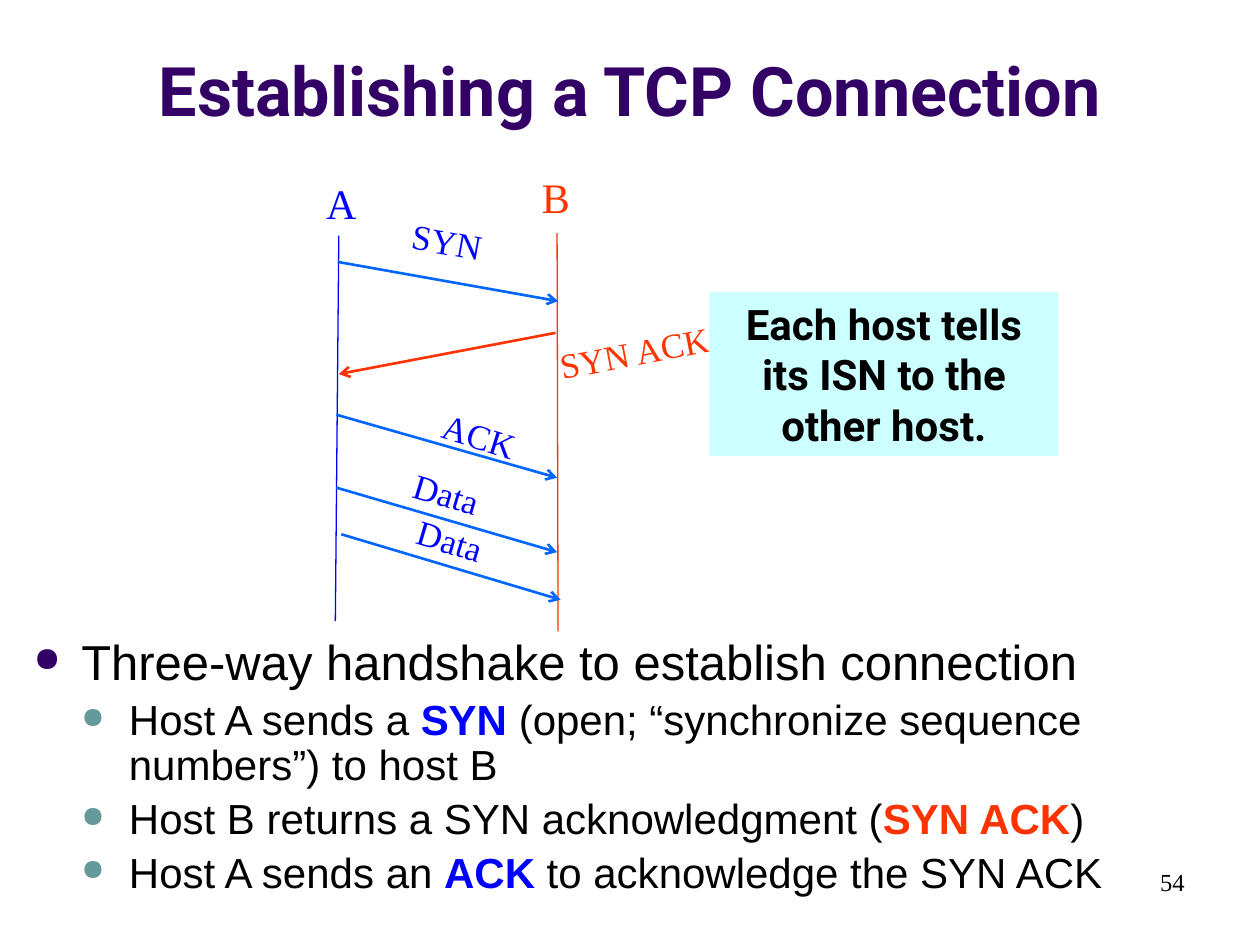
from dataclasses import dataclass

from lxml import etree
from pptx import Presentation
from pptx.dml.color import RGBColor
from pptx.enum.shapes import MSO_CONNECTOR, MSO_SHAPE
from pptx.enum.text import MSO_ANCHOR, PP_ALIGN
from pptx.oxml.ns import qn
from pptx.slide import Slide
from pptx.util import Cm, Pt

STRAIGHT = MSO_CONNECTOR.STRAIGHT
RECTANGLE = MSO_SHAPE.RECTANGLE
TOP, MIDDLE, BOTTOM = MSO_ANCHOR.TOP, MSO_ANCHOR.MIDDLE, MSO_ANCHOR.BOTTOM
LEFT, CENTER, RIGHT = PP_ALIGN.LEFT, PP_ALIGN.CENTER, PP_ALIGN.RIGHT


def color(value):
    return RGBColor.from_string(value)


@dataclass
class HandshakeSlide:
    slide: Slide
    heading_font: str = "Roboto"
    body_font: str = "Arial"
    label_font: str = "Times New Roman"
    heading: str = "330066"
    ink: str = "000000"
    host_a: str = "0000FF"
    host_b: str = "FF3300"
    message: str = "0066FF"
    sub_bullet: str = "669999"
    note_fill: str = "CCFFFF"

    def style(self, paragraph, name, size, hue, bold=False):
        font = paragraph.font
        font.name, font.size, font.bold = name, Pt(size), bold
        font.color.rgb = color(hue)

    def text(self, words, box, name, size, hue, bold=False,
             align=CENTER, anchor=MIDDLE, wrap=False, angle=0):
        holder = self.slide.shapes.add_textbox(*map(Cm, box))
        holder.rotation = angle
        frame = holder.text_frame
        frame.word_wrap, frame.vertical_anchor = wrap, anchor
        paragraph = frame.paragraphs[0]
        paragraph.text, paragraph.alignment = words, align
        self.style(paragraph, name, size, hue, bold)

    def label(self, words, box, hue, size=20, angle=0):
        self.text(words, box, self.label_font, size, hue, angle=angle)

    def line(self, ends, hue, width=0.75, arrow=False):
        connector = self.slide.shapes.add_connector(STRAIGHT, *map(Cm, ends))
        connector.line.color.rgb = color(hue)
        connector.line.width = Pt(width)
        if arrow:
            etree.SubElement(connector.line._get_or_add_ln(), qn("a:tailEnd"), type="arrow")
        etree.SubElement(connector._element.spPr, qn("a:effectLst"))

    def note(self, words, box):
        panel = self.slide.shapes.add_shape(RECTANGLE, *map(Cm, box))
        panel.shadow.inherit = False
        panel.fill.solid()
        panel.fill.fore_color.rgb = color(self.note_fill)
        panel.line.fill.background()
        frame = panel.text_frame
        frame.word_wrap, frame.vertical_anchor = True, TOP
        paragraph = frame.paragraphs[0]
        paragraph.text, paragraph.alignment = words, CENTER
        self.style(paragraph, self.heading_font, 24, self.ink, True)

    def bullet(self, paragraph, hue):
        properties = paragraph._p.get_or_add_pPr()
        properties.set("marL", str(Cm(0.96 * (paragraph.level + 1))))
        properties.set("indent", str(-Cm(0.96)))
        tint = etree.SubElement(properties, qn("a:buClr"))
        etree.SubElement(tint, qn("a:srgbClr"), val=hue)
        etree.SubElement(properties, qn("a:buSzPct"), val="70000")
        etree.SubElement(properties, qn("a:buChar"), char="●")

    def outline(self, points, box):
        frame = self.slide.shapes.add_textbox(*map(Cm, box)).text_frame
        frame.word_wrap = True
        for index, (level, runs) in enumerate(points):
            paragraph = frame.add_paragraph() if index else frame.paragraphs[0]
            paragraph.level, paragraph.alignment = level, LEFT
            size = 24 if level else 28
            self.bullet(paragraph, self.sub_bullet if level else self.heading)
            paragraph.line_spacing = 0.9
            paragraph.space_before = Pt(0.2 * size if index else 0)
            self.style(paragraph, self.body_font, size, self.ink)
            for words, emphasis in runs:
                run = paragraph.add_run()
                run.text = words
                if emphasis:
                    run.font.bold = True
                    run.font.color.rgb = color(emphasis)


def main():
    deck = Presentation()
    deck.slide_width, deck.slide_height = Cm(25.4), Cm(19.05)
    page = HandshakeSlide(deck.slides.add_slide(deck.slide_layouts[6]))

    page.text("Establishing a TCP Connection", (0, 0.33, 25.4, 2.41),
              page.heading_font, 39, page.heading, True, anchor=BOTTOM, wrap=True)
    page.outline([
        (0, [("Three-way handshake to establish connection", None)]),
        (1, [("Host A sends a ", None), ("SYN", page.host_a),
             (" (open; “synchronize sequence numbers”) to host B", None)]),
        (1, [("Host B returns a SYN acknowledgment (", None),
             ("SYN ACK", page.host_b), (")", None)]),
        (1, [("Host A sends an ", None), ("ACK", page.host_a),
             (" to acknowledge the SYN ACK", None)]),
    ], (0.43, 12.73, 23.7, 6.1))
    page.text("54", (18.21, 17.35, 5.92, 1.27), page.label_font, 14, page.ink,
              align=RIGHT, anchor=TOP, wrap=True)

    hosts = [
        ("A", (6.32, 3.45, 1.12, 1.27), (6.83, 4.75, 6.76, 12.52), page.host_a),
        ("B", (10.67, 3.33, 1.07, 1.27), (11.23, 4.7, 11.25, 12.73), page.host_b),
    ]
    for host, box, timeline, hue in hosts:
        page.line(timeline, hue)
        page.label(host, box, hue, 24)

    from_a, from_b = (page.message, page.host_a), (page.host_b, page.host_b)
    messages = [
        ("SYN", (6.81, 5.28, 11.25, 6.07), (8.05, 4.32, 1.93, 1.09), 10.1, from_a),
        ("SYN ACK", (11.2, 6.71, 6.83, 7.54), (10.97, 6.55, 3.63, 1.09), -10.9, from_b),
        ("ACK", (6.78, 8.36, 11.23, 9.63), (8.66, 8.23, 2.01, 1.09), 17.4, from_a),
        ("Data", (6.78, 9.83, 11.23, 11.13), (8.08, 9.4, 1.85, 1.09), 16.7, from_a),
        ("Data", (6.88, 10.77, 11.3, 12.09), (8.15, 10.34, 1.85, 1.09), 16.7, from_a),
    ]
    for segment, ends, box, angle, (arrow_hue, label_hue) in messages:
        page.line(ends, arrow_hue, 1.5, arrow=True)
        page.label(segment, box, label_hue, angle=angle)

    page.note("Each host tells its ISN to the other host.", (14.3, 5.89, 7.04, 3.3))
    deck.save("out.pptx")


if __name__ == "__main__":
    main()
